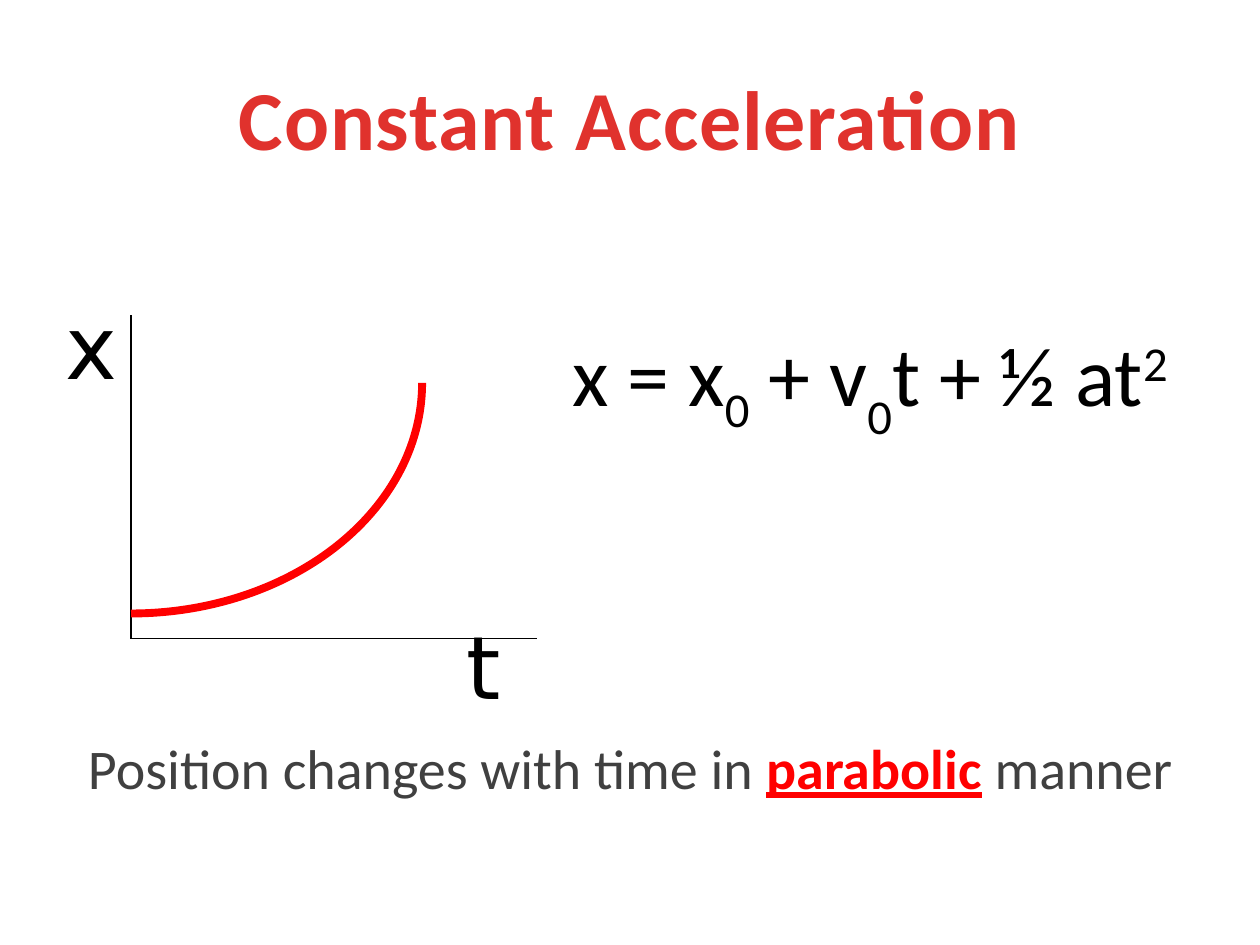
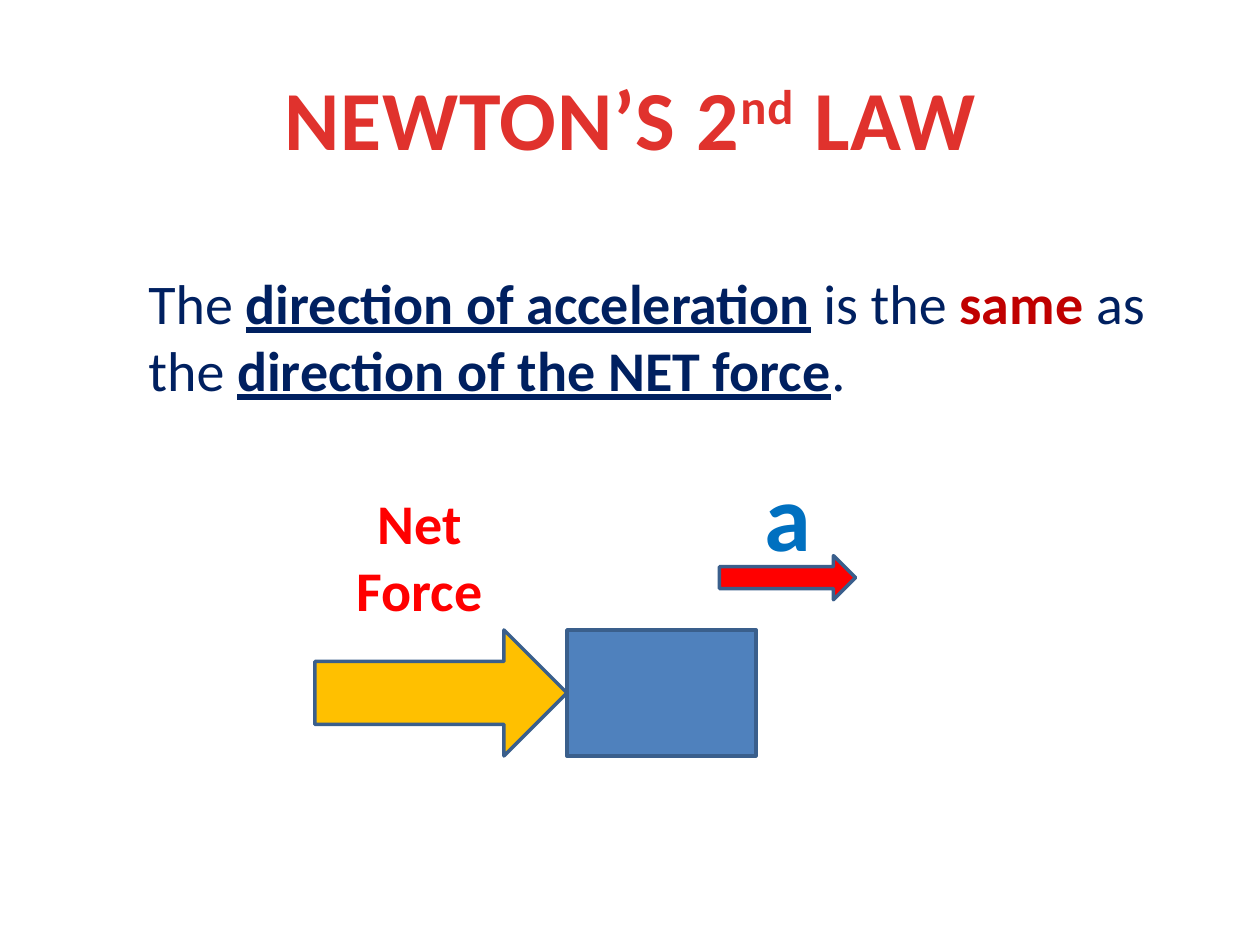
from dataclasses import dataclass

import lxml.etree
import pptx
import pptx.dml.color
import pptx.enum.shapes
import pptx.enum.text
import pptx.oxml.ns
import pptx.presentation
import pptx.shapes.autoshape
import pptx.shapes.base
import pptx.slide
import pptx.text.text
import pptx.util

Inches = pptx.util.Inches
Pt = pptx.util.Pt
RGBColor = pptx.dml.color.RGBColor
Align = pptx.enum.text.PP_ALIGN
Preset = pptx.enum.shapes.MSO_SHAPE

TITLE_RED = RGBColor(0xE0, 0x32, 0x2D)
BLACK = RGBColor(0x00, 0x00, 0x00)
GREY = RGBColor(0x40, 0x40, 0x40)
RED = RGBColor(0xFF, 0x00, 0x00)
DARK_RED = RGBColor(0xC0, 0x00, 0x00)
NAVY = RGBColor(0x00, 0x20, 0x60)
SKY = RGBColor(0x00, 0x70, 0xC0)
BLOCK_BLUE = RGBColor(0x4F, 0x81, 0xBD)
OUTLINE_BLUE = RGBColor(0x3A, 0x5F, 0x8C)
AMBER = RGBColor(0xFF, 0xC0, 0x00)

FONT = "Calibri"
AXIS_FONT = "DejaVu Sans"
TITLE_ONLY = 5


@dataclass(frozen=True)
class Box:
    """A frame in inches."""
    left: float
    top: float
    width: float
    height: float

    def lengths(self) -> tuple[int, int, int, int]:
        return (Inches(self.left), Inches(self.top),
                Inches(self.width), Inches(self.height))


@dataclass(frozen=True)
class Piece:
    """A stretch of text; baseline is a percentage, negative for subscript."""
    text: str
    bold: bool = False
    underline: bool = False
    color: RGBColor | None = None
    baseline: int = 0


@dataclass(frozen=True)
class Style:
    size: float
    color: RGBColor
    font: str = FONT
    align: Align = Align.LEFT
    space_before: float = 0
    indent: float = 0
    spacing: float = 0


@dataclass(frozen=True)
class Body:
    """A filled, outlined shape in the force diagram."""
    preset: Preset
    box: Box
    fill: RGBColor


TITLE = Style(48, TITLE_RED, align=Align.CENTER, spacing=0.5)
TITLE_BOX = Box(0.5, 0.3, 9, 1.25)
EQUATION = Style(48, BLACK, align=Align.CENTER, space_before=9.6)
REMARK = Style(32, GREY, space_before=6.4)
AXIS_LABEL = Style(50, BLACK, font=AXIS_FONT, space_before=11.2)
STATEMENT = Style(32, NAVY, space_before=7, indent=0.5)
FORCE_LABEL = Style(32, RED, align=Align.CENTER, space_before=7, indent=0.5)
ACCELERATION_LABEL = Style(54, SKY, align=Align.CENTER, space_before=7, indent=0.5)


def write(frame: pptx.text.text.TextFrame, pieces: list[Piece], style: Style) -> None:
    frame.word_wrap = True
    paragraph = frame.paragraphs[0]
    paragraph.alignment = style.align
    paragraph.space_before = Pt(style.space_before)
    if style.indent:
        properties = paragraph._p.get_or_add_pPr()
        properties.set("marL", str(Inches(style.indent)))
        properties.set("indent", "0")
    for piece in pieces:
        run = paragraph.add_run()
        run.text = piece.text
        run.font.name = style.font
        run.font.size = Pt(style.size)
        run.font.bold = piece.bold
        run.font.underline = piece.underline
        run.font.color.rgb = piece.color or style.color
        properties = run._r.get_or_add_rPr()
        if piece.baseline:
            properties.set("baseline", str(piece.baseline * 1000))
        if style.spacing:
            properties.set("spc", str(round(style.spacing * 100)))


def add_text(slide: pptx.slide.Slide, box: Box, pieces: list[Piece], style: Style) -> None:
    write(slide.shapes.add_textbox(*box.lengths()).text_frame, pieces, style)


def add_titled_slide(deck: pptx.presentation.Presentation,
                     pieces: list[Piece]) -> pptx.slide.Slide:
    slide = deck.slides.add_slide(deck.slide_layouts[TITLE_ONLY])
    title = slide.shapes.title
    title.left, title.top, title.width, title.height = TITLE_BOX.lengths()
    title.text_frame.vertical_anchor = pptx.enum.text.MSO_ANCHOR.MIDDLE
    write(title.text_frame, pieces, TITLE)
    return slide


def add_axis(slide: pptx.slide.Slide, start: tuple[float, float],
             end: tuple[float, float]) -> None:
    axis = slide.shapes.add_connector(
        pptx.enum.shapes.MSO_CONNECTOR.STRAIGHT,
        *(Inches(value) for value in start + end))
    axis.line.color.rgb = BLACK
    axis.line.width = Pt(0.75)
    lxml.etree.SubElement(axis.element.spPr, pptx.oxml.ns.qn("a:effectLst"))


def add_shape(slide: pptx.slide.Slide, preset: Preset, box: Box, line: RGBColor,
              weight: float) -> pptx.shapes.autoshape.Shape:
    shape = slide.shapes.add_shape(preset, *box.lengths())
    shape.shadow.inherit = False
    shape.line.color.rgb = line
    shape.line.width = Pt(weight)
    return shape


def add_body(slide: pptx.slide.Slide, body: Body) -> None:
    shape = add_shape(slide, body.preset, body.box, OUTLINE_BLUE, 2)
    shape.fill.solid()
    shape.fill.fore_color.rgb = body.fill


def add_parabola(slide: pptx.slide.Slide, box: Box) -> None:
    """Draw a rising quarter arc, from the bottom middle of box to its right side."""
    curve = add_shape(slide, Preset.ARC, box, RED, 4.5)
    curve.fill.background()
    curve.element.spPr.xfrm.set("flipV", "1")


def build_constant_acceleration(deck: pptx.presentation.Presentation) -> None:
    slide = add_titled_slide(deck, [Piece("Constant Acceleration", bold=True)])
    add_text(slide, Box(3.9, 2.51, 6.01, 0.83), [
        Piece("x = x"), Piece("0", baseline=-25),
        Piece(" + v"), Piece("0", baseline=-33),
        Piece("t + ½ at"), Piece("2", baseline=30),
    ], EQUATION)
    add_text(slide, Box(0.6, 5.77, 9.06, 0.81), [
        Piece("Position changes with time in "),
        Piece("parabolic", bold=True, underline=True, color=RED),
        Piece(" manner"),
    ], REMARK)

    origin_x, origin_y = 1.04, 5.07
    add_axis(slide, (origin_x, 2.5), (origin_x, origin_y))
    add_axis(slide, (origin_x, origin_y), (4.26, origin_y))
    for label, left, top in (("x", 0.42, 2.27), ("t", 3.6, 4.81)):
        add_text(slide, Box(left, top, 0.58, 0.94), [Piece(label)], AXIS_LABEL)
    curve_width = 4.62
    add_parabola(slide, Box(origin_x - curve_width / 2, 1.21, curve_width, 3.66))


def build_second_law(deck: pptx.presentation.Presentation) -> None:
    slide = add_titled_slide(deck, [
        Piece("NEWTON’S 2", bold=True),
        Piece("nd", bold=True, baseline=30),
        Piece(" LAW", bold=True),
    ])
    add_text(slide, Box(0.58, 2.08, 9, 1.37), [
        Piece("The "),
        Piece("direction of acceleration", bold=True, underline=True),
        Piece(" is the "),
        Piece("same", bold=True, color=DARK_RED),
        Piece(" as the "),
        Piece("direction of the NET force", bold=True, underline=True),
        Piece("."),
    ], STATEMENT)

    for body in (
        Body(Preset.RECTANGLE, Box(4.5, 5, 1.5, 1), BLOCK_BLUE),
        Body(Preset.RIGHT_ARROW, Box(2.5, 5, 2, 1), AMBER),
        Body(Preset.RIGHT_ARROW, Box(5.71, 4.41, 1.08, 0.35), RED),
    ):
        add_body(slide, body)
    add_text(slide, Box(2.08, 3.83, 2, 1.37), [Piece("Net Force", bold=True)], FORCE_LABEL)
    add_text(slide, Box(5.5, 3.58, 1, 0.68), [Piece("a", bold=True)], ACCELERATION_LABEL)


def main() -> None:
    deck = pptx.Presentation()
    deck.slide_width = Inches(10)
    deck.slide_height = Inches(7.5)
    build_constant_acceleration(deck)
    build_second_law(deck)
    deck.save("out.pptx")


if __name__ == "__main__":
    main()
